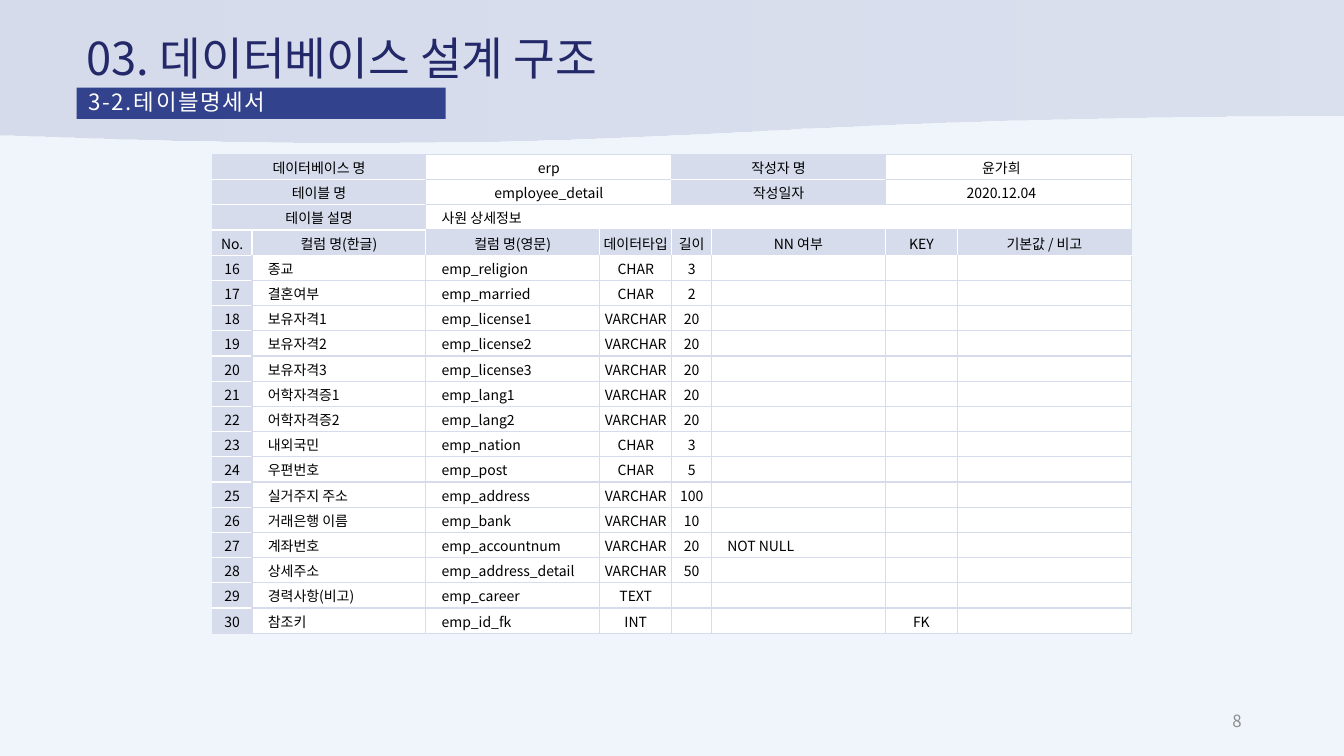
import pptx
import pptx.dml.color
import pptx.enum.shapes
import pptx.enum.text
import pptx.oxml.ns
import pptx.util
from lxml import etree

Cm = pptx.util.Cm
RGBColor = pptx.dml.color.RGBColor
ALIGN = pptx.enum.text.PP_ALIGN
ANCHOR = pptx.enum.text.MSO_ANCHOR
SHAPE = pptx.enum.shapes.MSO_SHAPE
qn = pptx.oxml.ns.qn

FONT = "Noto Sans CJK KR"
PAGE = RGBColor(0xEF, 0xF5, 0xFA)
LAVENDER = RGBColor(0xD6, 0xDC, 0xEC)
NAVY = RGBColor(0x23, 0x28, 0x68)
BLUE = RGBColor(0x33, 0x42, 0x8C)
GRAY = RGBColor(0x8C, 0x8C, 0x8C)
WHITE = RGBColor(0xFF, 0xFF, 0xFF)
BLACK = RGBColor(0, 0, 0)

COLUMN_WIDTHS = [1, 4.38, 4.38, 1.82, 1, 4.38, 1.82, 4.38]
HEADER_ROW = 3
FIRST_NUMBER = 16

# Cells of the information block: (row, first column, last column, text)
TABLE_INFO = [
    (0, 0, 1, "데이터베이스 명"), (0, 2, 3, "erp"),
    (0, 4, 5, "작성자 명"), (0, 6, 7, "윤가희　"),
    (1, 0, 1, "테이블 명"), (1, 2, 3, "employee_detail"),
    (1, 4, 5, "작성일자"), (1, 6, 7, "2020.12.04　"),
    (2, 0, 1, "테이블 설명"), (2, 2, 7, "사원 상세정보"),
]
HEADERS = ["No.", "컬럼 명(한글)", "컬럼 명(영문)", "데이터타입", "길이",
           "NN 여부", "KEY", "기본값 / 비고"]
# Korean name, English name, type, length, NN, key, remarks
FIELDS = [
    ("종교", "emp_religion", "CHAR", "3", "", "", ""),
    ("결혼여부", "emp_married", "CHAR", "2", "", "", ""),
    ("보유자격1", "emp_license1", "VARCHAR", "20", "", "", ""),
    ("보유자격2", "emp_license2", "VARCHAR", "20", "", "", ""),
    ("보유자격3", "emp_license3", "VARCHAR", "20", "", "", ""),
    ("어학자격증1", "emp_lang1", "VARCHAR", "20", "", "", ""),
    ("어학자격증2", "emp_lang2", "VARCHAR", "20", "", "", ""),
    ("내외국민", "emp_nation", "CHAR", "3", "", "", ""),
    ("우편번호", "emp_post", "CHAR", "5", "", "", ""),
    ("실거주지 주소", "emp_address", "VARCHAR", "100", "", "", ""),
    ("거래은행 이름", "emp_bank", "VARCHAR", "10", "", "", ""),
    ("계좌번호", "emp_accountnum", "VARCHAR", "20", "NOT NULL", "", ""),
    ("상세주소", "emp_address_detail", "VARCHAR", "50", "", "", ""),
    ("경력사항(비고)", "emp_career", "TEXT", "", "", "", ""),
    ("참조키", "emp_id_fk", "INT", "", "", "FK", ""),
]
ROW_COUNT = HEADER_ROW + 1 + len(FIELDS)


def write(frame, text, size, color, align=ALIGN.LEFT, spacing=0):
    frame.text = text
    line = frame.paragraphs[0]
    line.alignment = align
    for run in line.runs:
        run.font.size = pptx.util.Pt(size)
        run.font.name = FONT
        run.font.color.rgb = color
        properties = run.font._element
        etree.SubElement(properties, qn("a:ea"), typeface=FONT)
        if spacing:
            properties.set("spc", str(spacing))
    if not text:
        etree.SubElement(line._p, qn("a:endParaRPr"), sz=str(size * 100))


def add_label(slide, left, top, width, height, text, size, color, align=ALIGN.LEFT):
    label = slide.shapes.add_textbox(Cm(left), Cm(top), Cm(width), Cm(height))
    label.text_frame.word_wrap = True
    label.text_frame.vertical_anchor = ANCHOR.MIDDLE
    write(label.text_frame, text, size, color, align)


def add_block(slide, preset, left, top, width, height):
    block = slide.shapes.add_shape(preset, Cm(left), Cm(top), Cm(width), Cm(height))
    block.shadow.inherit = False
    block.line.fill.background()
    return block


def add_wave_band(slide):
    band = add_block(slide, SHAPE.FLOWCHART_DOCUMENT, 0, 0, 33.87, 3.63)
    band.fill.gradient()
    band.fill.gradient_angle = 0
    for stop in band.fill.gradient_stops:
        stop.color.rgb = LAVENDER
    last_color = band._element.spPr.findall(".//" + qn("a:srgbClr"))[-1]
    etree.SubElement(last_color, qn("a:alpha"), val="80000")


def add_section_bar(slide, text):
    bar = add_block(slide, SHAPE.RECTANGLE, 1.93, 2.21, 9.3, 0.79)
    bar.fill.solid()
    bar.fill.fore_color.rgb = BLUE
    frame = bar.text_frame
    frame.margin_left = frame.margin_right = Cm(0.3)
    frame.margin_top, frame.margin_bottom = Cm(0.1), Cm(0.13)
    frame.vertical_anchor = ANCHOR.TOP
    write(frame, text, 16, WHITE, ALIGN.JUSTIFY, spacing=120)
    frame.paragraphs[0].line_spacing = 0.9


def is_label(row, column):
    if row < 2:
        return column % 4 < 2
    if row == 2:
        return column < 2
    return row == HEADER_ROW or column == 0


def is_left_aligned(row, column):
    return (row, column) == (2, 2) or (row > HEADER_ROW and column in (1, 2, 5))


def level_edge(above, column):
    """Colour of the edge below row `above`."""
    if not 0 <= above < ROW_COUNT - 1:
        return LAVENDER
    both_labels = is_label(above, column) and is_label(above + 1, column)
    return WHITE if both_labels or above == HEADER_ROW else LAVENDER


def upright_edge(row, before):
    """Colour of the edge after column `before`."""
    inside = 0 <= before < len(HEADERS) - 1
    return WHITE if row == HEADER_ROW and inside else LAVENDER


def draw_borders(cell, row, column):
    edges = {"a:lnL": upright_edge(row, column - 1), "a:lnR": upright_edge(row, column),
             "a:lnT": level_edge(row - 1, column), "a:lnB": level_edge(row, column)}
    for tag, color in edges.items():
        edge = etree.SubElement(cell._tc.get_or_add_tcPr(), qn(tag), w="12700")
        fill = etree.SubElement(edge, qn("a:solidFill"))
        etree.SubElement(fill, qn("a:srgbClr"), val=str(color))


def format_cell(cell, row, column, text):
    draw_borders(cell, row, column)
    cell.fill.solid()
    cell.fill.fore_color.rgb = LAVENDER if is_label(row, column) else WHITE
    left = is_left_aligned(row, column)
    cell.margin_left = Cm(0.4 if left else 0.02)
    cell.margin_right = cell.margin_top = Cm(0.02)
    cell.margin_bottom = 0
    cell.vertical_anchor = ANCHOR.MIDDLE
    write(cell.text_frame, text, 10, BLACK, ALIGN.LEFT if left else ALIGN.CENTER)


def add_specification(slide):
    height = Cm(12.07)
    table = slide.shapes.add_table(ROW_COUNT, len(HEADERS), Cm(5.35), Cm(3.89),
                                   Cm(sum(COLUMN_WIDTHS)), height).table
    table.first_row = table.horz_banding = False
    for column, width in zip(table.columns, COLUMN_WIDTHS):
        column.width = Cm(width)
    for row in table.rows:
        row.height = height // ROW_COUNT

    texts = {(row, first): text for row, first, last, text in TABLE_INFO}
    records = [HEADERS] + [(str(number), *field)
                           for number, field in enumerate(FIELDS, FIRST_NUMBER)]
    for row, record in enumerate(records, HEADER_ROW):
        for column, text in enumerate(record):
            texts[row, column] = text
    for row in range(ROW_COUNT):
        for column in range(len(HEADERS)):
            format_cell(table.cell(row, column), row, column, texts.get((row, column), ""))
    for row, first, last, text in TABLE_INFO:
        table.cell(row, first).merge(table.cell(row, last))


def main():
    deck = pptx.Presentation()
    deck.slide_width, deck.slide_height = Cm(33.87), Cm(19.05)
    slide = deck.slides.add_slide(deck.slide_layouts[6])
    slide.background.fill.solid()
    slide.background.fill.fore_color.rgb = PAGE

    # Heading
    add_wave_band(slide)
    add_label(slide, 1.93, 0.71, 21.72, 1.47, "03. 데이터베이스 설계 구조", 32.4, NAVY)
    add_section_bar(slide, "3-2.테이블명세서")

    # Table specification
    add_specification(slide)

    # Page number
    add_label(slide, 23.92, 17.66, 7.62, 1.01, "8", 12, GRAY, ALIGN.RIGHT)

    deck.save("out.pptx")


if __name__ == "__main__":
    main()
